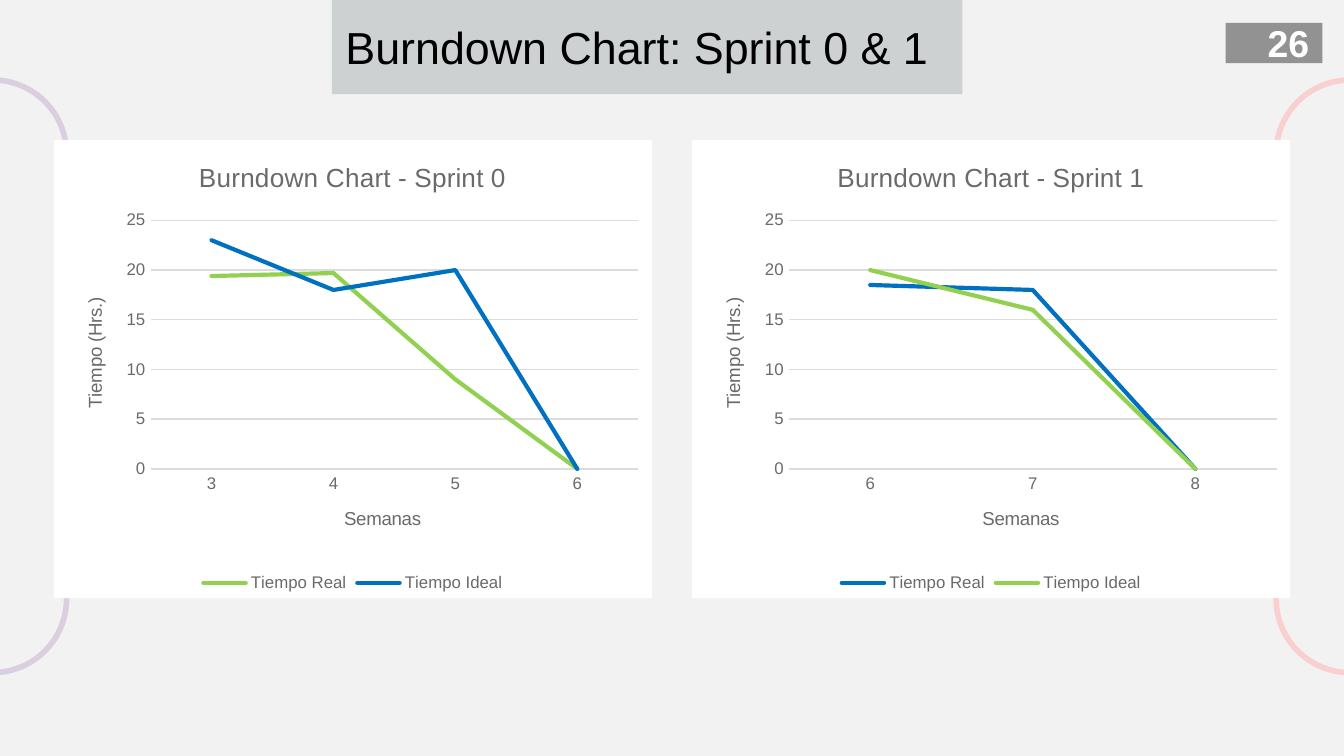
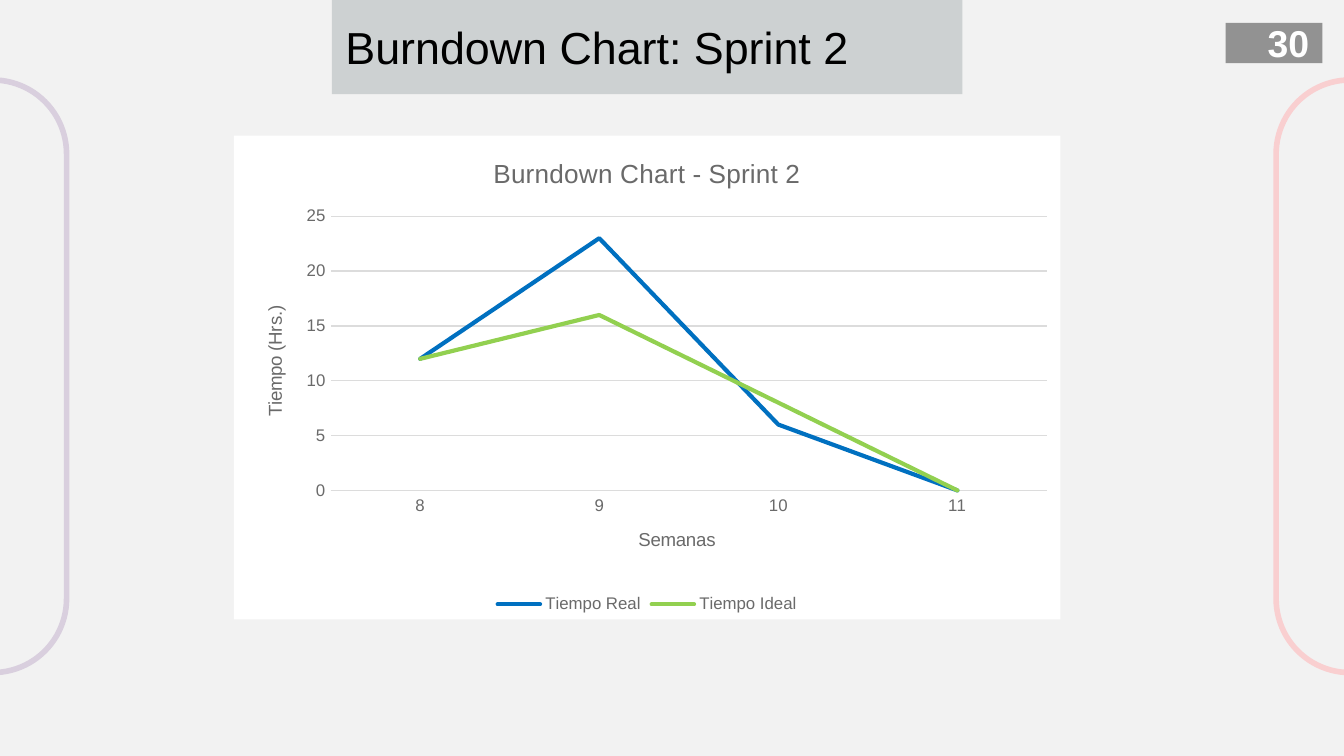
from dataclasses import dataclass

from lxml import etree
from pptx import Presentation
from pptx.chart.data import CategoryChartData
from pptx.dml.color import RGBColor
from pptx.enum.chart import XL_CHART_TYPE, XL_LEGEND_POSITION, XL_TICK_MARK
from pptx.enum.shapes import MSO_SHAPE
from pptx.enum.text import MSO_ANCHOR, PP_ALIGN
from pptx.oxml.ns import qn
from pptx.util import Inches, Pt

LEFT, RIGHT = PP_ALIGN.LEFT, PP_ALIGN.RIGHT
CENTER = PP_ALIGN.CENTER
MIDDLE = MSO_ANCHOR.MIDDLE
NO_TICK = XL_TICK_MARK.NONE
LINE_CHART = XL_CHART_TYPE.LINE
BOTTOM = XL_LEGEND_POSITION.BOTTOM
RECTANGLE = MSO_SHAPE.RECTANGLE
ROUNDED = MSO_SHAPE.ROUNDED_RECTANGLE
TITLE_ONLY = 5
SLIDE_WIDTH = 10
SLIDE_HEIGHT = SLIDE_WIDTH * 9 / 16


@dataclass(frozen=True)
class Theme:
    font: str = "Arial"
    background: str = "F2F2F2"
    band: str = "C4C9CA"
    dark: str = "191919"
    black: str = "000000"
    white: str = "FFFFFF"
    gray: str = "6A6A6A"
    grid: str = "DCDCDC"
    green: str = "92D050"
    blue: str = "0070C0"
    lilac: str = "D9CFDE"
    pink: str = "F9CFD0"
    title_size: float = 24
    number_size: float = 20
    chart_title_size: float = 14
    axis_title_size: float = 10
    label_size: float = 9
    rail_width: float = 3
    series_width: float = 2.25
    grid_width: float = 0.75


T = Theme()


@dataclass(frozen=True)
class Box:
    x: float
    y: float
    w: float
    h: float

    def place(self) -> tuple:
        return Inches(self.x), Inches(self.y), Inches(self.w), Inches(self.h)


@dataclass(frozen=True)
class Burndown:
    box: Box
    sprint: int
    weeks: tuple
    real: tuple
    ideal: tuple
    colors: tuple = (T.blue, T.green)


@dataclass(frozen=True)
class Page:
    title: str
    number: int
    charts: tuple


TITLE_BOX = Box(2.47, 0, 4.69, 0.7)
NUMBER_BOX = Box(9.12, 0.17, 0.72, 0.3)
RAILS = (
    (Box(-2.26, 2.25, 4.41, 1.1), T.lilac),
    (Box(7.84, 2.25, 4.41, 1.1), T.pink),
)
PLOT_LEFT, PLOT_TOP, PLOT_RIGHT, PLOT_BOTTOM = 0.72, 0.6, 0.1, 0.96

PAGES = (
    Page("Burndown Chart: Sprint 0 & 1", 26, (
        Burndown(Box(0.4, 1.04, 4.45, 3.41), 0, ("3", "4", "5", "6"),
                 (19.4, 19.7, 9, 0), (23, 18, 20, 0), (T.green, T.blue)),
        Burndown(Box(5.15, 1.04, 4.45, 3.41), 1, ("6", "7", "8"),
                 (18.5, 18, 0), (20, 16, 0)),
    )),
    Page("Burndown Chart: Sprint 2", 30, (
        Burndown(Box(1.74, 1.01, 6.15, 3.6), 2, ("8", "9", "10", "11"),
                 (12, 23, 6, 0), (12, 16, 8, 0)),
    )),
)


def rgb(color: str) -> RGBColor:
    return RGBColor.from_string(color)


def set_font(font, size: float, color: str, bold: bool = False) -> None:
    font.name, font.size, font.bold = T.font, Pt(size), bold
    font.color.rgb = rgb(color)


def write(tf, text: str, *, size: float, color: str, bold: bool = False,
          align=LEFT) -> None:
    p = tf.paragraphs[0]
    p.alignment = align
    r = p.add_run()
    r.text = text
    set_font(r.font, size, color, bold)


def fill_alpha(sp, color: str, percent: int) -> None:
    sp.fill.solid()
    sp.fill.fore_color.rgb = rgb(color)
    clr = next(sp.element.iter(qn("a:srgbClr")))
    etree.SubElement(clr, qn("a:alpha"), val=str(percent * 1000))


def set_line(line, color: str, width: float) -> None:
    line.color.rgb = rgb(color)
    line.width = Pt(width)


def add_rail(slide, box: Box, color: str):
    sp = slide.shapes.add_shape(ROUNDED, *box.place())
    sp.adjustments[0] = 0.5
    sp.rotation = 90
    sp.shadow.inherit = False
    sp.fill.background()
    set_line(sp.line, color, T.rail_width)
    return sp


def add_title(slide, text: str) -> None:
    sp = slide.shapes.title
    sp.left, sp.top, sp.width, sp.height = TITLE_BOX.place()
    fill_alpha(sp, T.band, 80)
    tf = sp.text_frame
    tf.word_wrap = True
    tf.vertical_anchor = MIDDLE
    tf.margin_left = tf.margin_right = Inches(0.1)
    tf.margin_top = tf.margin_bottom = Inches(0.1)
    write(tf, text, size=T.title_size, color=T.black)


def add_number(slide, number: int) -> None:
    sp = slide.shapes.add_shape(RECTANGLE, *NUMBER_BOX.place())
    sp.shadow.inherit = False
    fill_alpha(sp, T.dark, 44)
    sp.line.fill.background()
    sp.text_frame.vertical_anchor = MIDDLE
    write(sp.text_frame, str(number), size=T.number_size, color=T.white,
          bold=True, align=RIGHT)


def set_layout(parent, index: int, inner: bool = False, **shares: float) -> None:
    old = parent.find(qn("c:layout"))
    if old is not None:
        parent.remove(old)
    layout = etree.Element(qn("c:layout"))
    manual = etree.SubElement(layout, qn("c:manualLayout"))
    if inner:
        etree.SubElement(manual, qn("c:layoutTarget"), val="inner")
    for mode in ("xMode", "yMode"):
        etree.SubElement(manual, qn(f"c:{mode}"), val="edge")
    for key, share in shares.items():
        etree.SubElement(manual, qn(f"c:{key}"), val=f"{share:.4f}")
    parent.insert(index, layout)


def add_chart_title(title, text: str, size: float, x: float, y: float,
                    box: Box, rotation: int = 0) -> None:
    write(title.text_frame, text, size=size, color=T.gray, align=CENTER)
    body = next(title.element.iter(qn("a:bodyPr")))
    body.set("rot", str(rotation * 60000))
    set_layout(title.element, 1, x=x / box.w, y=y / box.h)


def fill_chart(chart) -> None:
    sp_pr = etree.Element(qn("c:spPr"))
    fill = etree.SubElement(sp_pr, qn("a:solidFill"))
    etree.SubElement(fill, qn("a:srgbClr"), val=T.white)
    line = etree.SubElement(sp_pr, qn("a:ln"))
    etree.SubElement(line, qn("a:noFill"))
    chart.element.find(qn("c:chart")).addnext(sp_pr)


def add_burndown(slide, item: Burndown) -> None:
    data = CategoryChartData()
    data.categories = item.weeks
    data.add_series("Tiempo Real", item.real)
    data.add_series("Tiempo Ideal", item.ideal)
    box = item.box
    chart = slide.shapes.add_chart(LINE_CHART, *box.place(), data).chart
    fill_chart(chart)
    set_font(chart.font, T.axis_title_size, T.dark)

    for series, color in zip(chart.plots[0].series, item.colors):
        series.smooth = False
        set_line(series.format.line, color, T.series_width)
    for ser in chart.element.iter(qn("c:ser")):
        next(ser.iter(qn("a:ln"))).set("cap", "rnd")

    weeks, hours = chart.category_axis, chart.value_axis
    for axis in (weeks, hours):
        axis.major_tick_mark = axis.minor_tick_mark = NO_TICK
        set_font(axis.tick_labels.font, T.label_size, T.gray)
    set_line(weeks.format.line, T.grid, T.grid_width)
    hours.format.line.fill.background()
    hours.has_major_gridlines = True
    set_line(hours.major_gridlines.format.line, T.grid, T.grid_width)
    hours.minimum_scale, hours.maximum_scale, hours.major_unit = 0, 25, 5

    plot_w = box.w - PLOT_LEFT - PLOT_RIGHT
    plot_h = box.h - PLOT_TOP - PLOT_BOTTOM
    plot_area = next(chart.element.iter(qn("c:plotArea")))
    set_layout(plot_area, 0, inner=True, x=PLOT_LEFT / box.w,
               y=PLOT_TOP / box.h, w=plot_w / box.w, h=plot_h / box.h)

    chart.has_title = True
    add_chart_title(chart.chart_title, f"Burndown Chart - Sprint {item.sprint}",
                    T.chart_title_size, box.w / 2 - 1.18, 0.12, box)
    add_chart_title(weeks.axis_title, "Semanas", T.axis_title_size,
                    PLOT_LEFT + plot_w / 2 - 0.4, box.h - PLOT_BOTTOM + 0.25, box)
    add_chart_title(hours.axis_title, "Tiempo (Hrs.)", T.axis_title_size,
                    0.19, PLOT_TOP + plot_h / 2 - 0.38, box, rotation=-90)

    chart.has_legend = True
    chart.legend.position = BOTTOM
    chart.legend.include_in_layout = False
    set_font(chart.legend.font, T.label_size, T.gray)


def main() -> None:
    prs = Presentation()
    prs.slide_width, prs.slide_height = Inches(SLIDE_WIDTH), Inches(SLIDE_HEIGHT)
    layout = prs.slide_layouts[TITLE_ONLY]
    layout.background.fill.solid()
    layout.background.fill.fore_color.rgb = rgb(T.background)
    slides = [prs.slides.add_slide(layout) for _ in PAGES]
    for box, color in RAILS:
        layout.shapes.element.append(add_rail(slides[0], box, color).element)
    for slide, page in zip(slides, PAGES):
        add_title(slide, page.title)
        add_number(slide, page.number)
        for item in page.charts:
            add_burndown(slide, item)
    prs.save("out.pptx")


if __name__ == "__main__":
    main()
